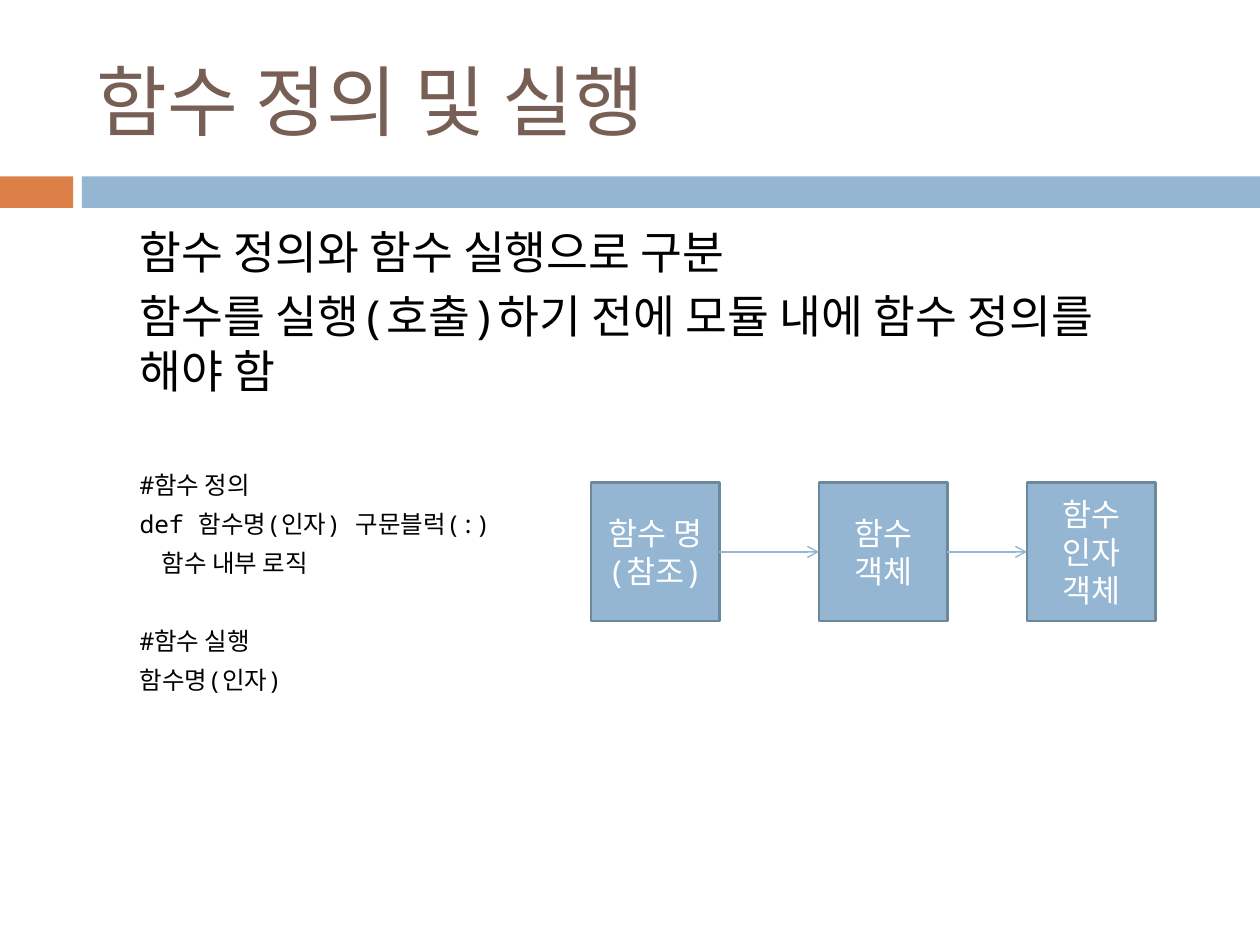
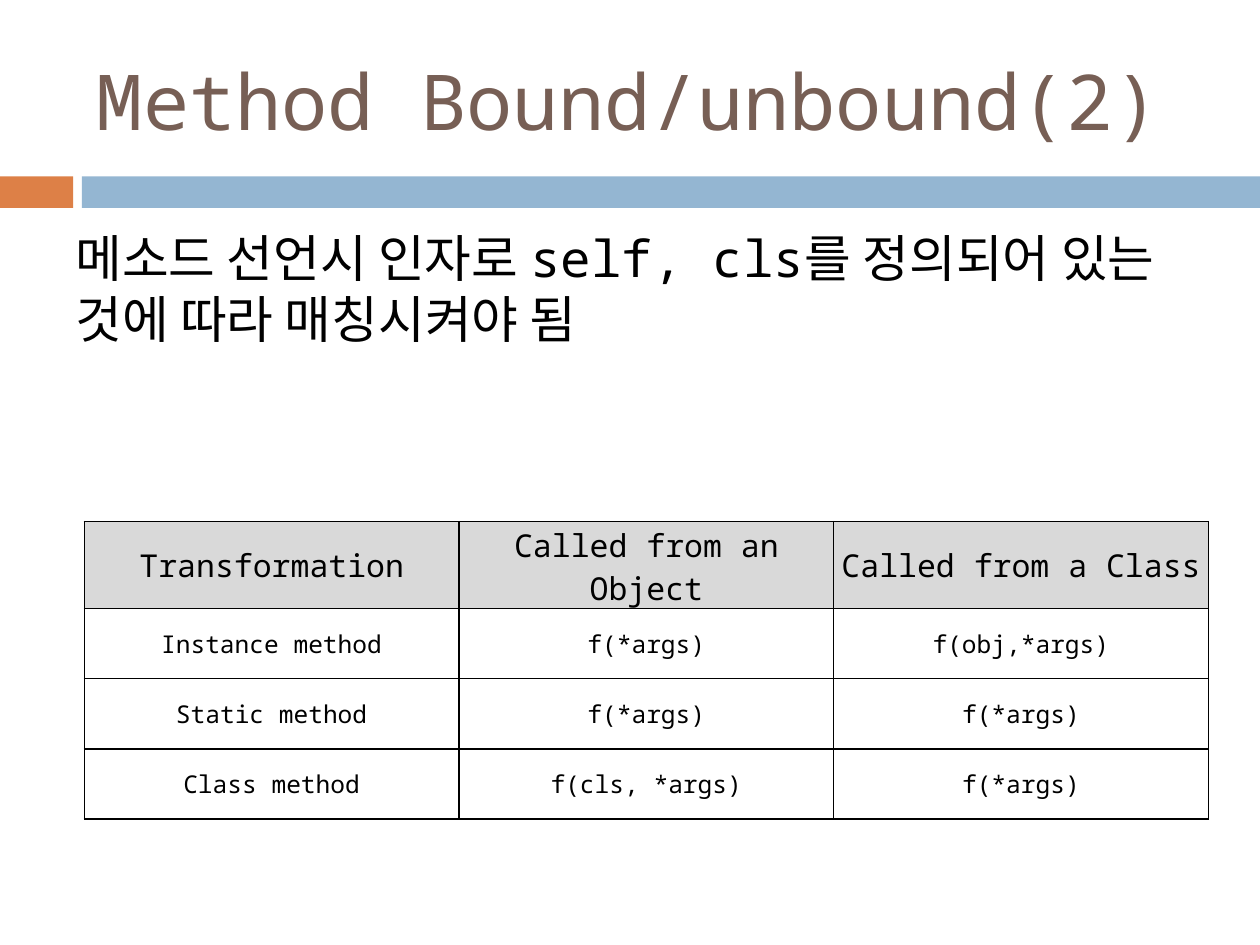
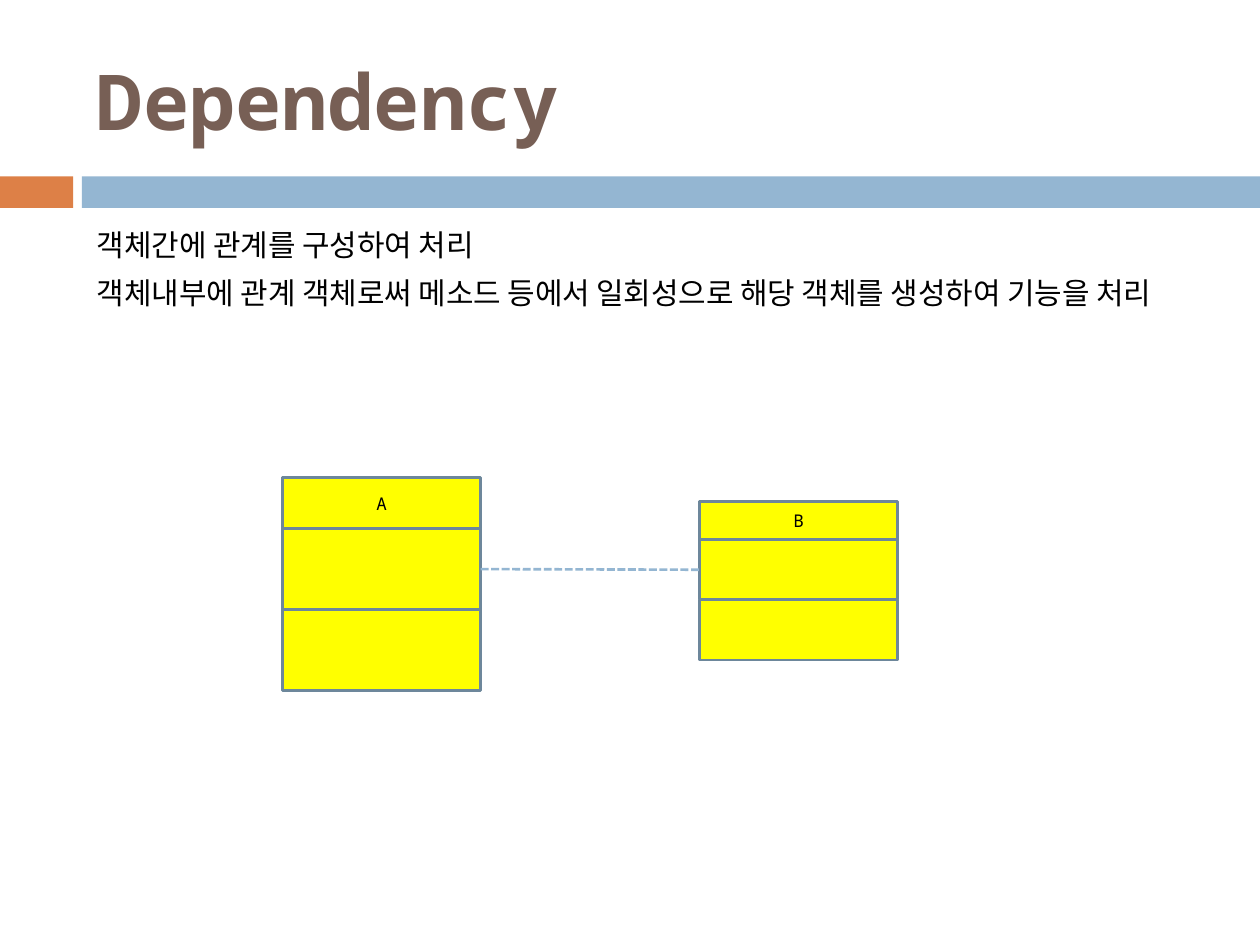
from dataclasses import dataclass
from typing import Optional, Sequence

from lxml import etree
from pptx import Presentation
from pptx import util as u
from pptx.dml.color import RGBColor
from pptx.enum import dml, shapes, text
from pptx.oxml.ns import qn

COLUMNS, ROWS = 100, 75
SLIDE_WIDTH, SLIDE_HEIGHT = u.Inches(10), u.Inches(7.5)
RIGHT_SIDE, LEFT_SIDE = 3, 1


@dataclass(frozen=True)
class Theme:
    blue: str = "94B6D2"
    outline: str = "6D879B"
    orange: str = "DD8047"
    brown: str = "775F55"
    yellow: str = "FFFF00"
    gray: str = "D9D9D9"
    black: str = "000000"
    white: str = "FFFFFF"
    mono: str = "Noto Sans Mono"
    sans: str = "Arial"
    title_size: float = 44
    statement_size: float = 29
    lead_size: float = 26
    node_size: float = 18
    summary_size: float = 17.1
    code_size: float = 14
    class_size: float = 10
    outline_width: float = 1.5
    arrow_width: float = 0.79


THEME = Theme()


@dataclass(frozen=True)
class Box:
    """An area in columns and rows of the slide grid."""
    left: float
    top: float
    width: float
    height: float

    def lengths(self) -> tuple[int, int, int, int]:
        column, row = SLIDE_WIDTH / COLUMNS, SLIDE_HEIGHT / ROWS
        return (round(self.left * column), round(self.top * row),
                round(self.width * column), round(self.height * row))


@dataclass(frozen=True)
class Style:
    size: float
    color: str = THEME.black
    name: str = THEME.mono
    bold: bool = False


@dataclass(frozen=True)
class Line:
    words: str
    style: Style
    space_before: float = 0


@dataclass(frozen=True)
class ClassDiagram:
    name: str
    box: Box


TITLE_BOX = Box(6.7, 2.5, 89.2, 10.8)
BANDS = ((Box(0, 14, 5.8, 2.5), THEME.orange), (Box(6.5, 14, 93.5, 2.5), THEME.blue))
LEAD = Style(THEME.lead_size)
CODE = Style(THEME.code_size)
NODE = Style(THEME.node_size, THEME.white)
SUMMARY = Style(THEME.summary_size, name=THEME.sans)

DEFINITION_LINES = (
    Line("함수 정의와 함수 실행으로 구분", LEAD),
    Line("함수를 실행(호출)하기 전에 모듈 내에 함수 정의를 해야 함", LEAD, 5.5),
    Line("#함수 정의", CODE, 41.5),
    Line("def 함수명(인자) 구문블럭(:)", CODE, 5.5),
    Line("    함수 내부 로직", CODE, 5.5),
    Line("#함수 실행", CODE, 27.8),
    Line("함수명(인자)", CODE, 5.5),
)
NODES = ((46.9, ("함수 명", "(참조)")), (65, ("함수 객체",)), (81.5, ("함수", "인자", "객체")))
METHOD_CALLS = (
    ("Transformation", "Called from an Object", "Called from a Class"),
    ("Instance method", "f(*args)", "f(obj,*args)"),
    ("Static method", "f(*args)", "f(*args)"),
    ("Class method", "f(cls, *args)", "f(*args)"),
)
HEADER_HEIGHT, ROW_HEIGHT = 6.9, 5.57
CLASSES = (ClassDiagram("A", Box(22.4, 37.9, 15.75, 16.9)),
           ClassDiagram("B", Box(55.5, 39.8, 15.75, 12.6)))
COMPARTMENT_SHARES = (0.24, 0.38, 0.38)


def rgb(color: str) -> RGBColor:
    return RGBColor.from_string(color)


def apply_style(paragraph, style: Style) -> None:
    font = paragraph.font
    font.name, font.size, font.bold = style.name, u.Pt(style.size), style.bold
    font.color.rgb = rgb(style.color)


def write_lines(frame, lines: Sequence[Line], alignment=text.PP_ALIGN.LEFT,
                indent: float = 0) -> None:
    frame.word_wrap = True
    for index, line in enumerate(lines):
        paragraph = frame.add_paragraph() if index else frame.paragraphs[0]
        paragraph.text = line.words
        paragraph.alignment = alignment
        if indent:
            paragraph._p.get_or_add_pPr().set("marL", str(u.Inches(indent)))
        if line.space_before:
            paragraph.space_before = u.Pt(line.space_before)
        apply_style(paragraph, line.style)


def add_text(slide, box: Box, lines: Sequence[Line], indent: float = 0,
             anchor=text.MSO_ANCHOR.TOP) -> None:
    frame = slide.shapes.add_textbox(*box.lengths()).text_frame
    frame.vertical_anchor = anchor
    write_lines(frame, lines, indent=indent)


def add_rectangle(collection, box: Box, fill: str, outline: Optional[str] = None,
                  lines: Sequence[Line] = ()):
    shape = collection.add_shape(shapes.MSO_SHAPE.RECTANGLE, *box.lengths())
    shape.shadow.inherit = False
    shape.fill.solid()
    shape.fill.fore_color.rgb = rgb(fill)
    if outline:
        shape.line.color.rgb = rgb(outline)
        shape.line.width = u.Pt(THEME.outline_width)
    else:
        shape.line.fill.background()
    if lines:
        shape.text_frame.vertical_anchor = text.MSO_ANCHOR.MIDDLE
        write_lines(shape.text_frame, lines, text.PP_ALIGN.CENTER)
    return shape


def connect(slide, source, target, width: float, dash=None, arrow: bool = False) -> None:
    """Join the right side of one shape to the left side of the next."""
    connector = slide.shapes.add_connector(shapes.MSO_CONNECTOR.STRAIGHT, 0, 0, 0, 0)
    connector.begin_connect(source, RIGHT_SIDE)
    connector.end_connect(target, LEFT_SIDE)
    connector.line.color.rgb = rgb(THEME.blue)
    connector.line.width = u.Pt(width)
    if dash:
        connector.line.dash_style = dash
    if arrow:
        etree.SubElement(connector.line._get_or_add_ln(), qn("a:tailEnd"), type="arrow")
    etree.SubElement(connector._element.spPr, qn("a:effectLst"))


def add_titled_slide(presentation, title: str, bold: bool = False):
    slide = presentation.slides.add_slide(presentation.slide_layouts[6])
    for box, color in BANDS:
        add_rectangle(slide.shapes, box, color)
    style = Style(THEME.title_size, THEME.brown, bold=bold)
    add_text(slide, TITLE_BOX, [Line(title, style)], anchor=text.MSO_ANCHOR.MIDDLE)
    return slide


def add_cell_borders(cell) -> None:
    properties = cell._tc.get_or_add_tcPr()
    for index, side in enumerate(("a:lnL", "a:lnR", "a:lnT", "a:lnB")):
        border = etree.Element(qn(side), w=str(u.Pt(1)))
        fill = etree.SubElement(border, qn("a:solidFill"))
        etree.SubElement(fill, qn("a:srgbClr"), val=THEME.black)
        properties.insert(index, border)


def fill_cell(cell, words: str, is_header: bool) -> None:
    cell.margin_left = cell.margin_right = u.Inches(0.04)
    cell.margin_top = cell.margin_bottom = u.Inches(0.02)
    cell.vertical_anchor = text.MSO_ANCHOR.MIDDLE
    if is_header:
        cell.fill.solid()
        cell.fill.fore_color.rgb = rgb(THEME.gray)
    else:
        cell.fill.background()
    add_cell_borders(cell)
    style = Style(THEME.node_size if is_header else THEME.code_size)
    write_lines(cell.text_frame, [Line(words, style)], text.PP_ALIGN.CENTER)


def add_method_table(slide, box: Box) -> None:
    frame = slide.shapes.add_table(len(METHOD_CALLS), len(METHOD_CALLS[0]), *box.lengths())
    table = frame.table
    table.first_row = table.horz_banding = False
    for row_index, row in enumerate(METHOD_CALLS):
        height = ROW_HEIGHT if row_index else HEADER_HEIGHT
        table.rows[row_index].height = round(height * SLIDE_HEIGHT / ROWS)
        for column_index, words in enumerate(row):
            fill_cell(table.cell(row_index, column_index), words, row_index == 0)


def add_class(slide, diagram: ClassDiagram):
    """Draw a three-part class and return its middle compartment."""
    group = slide.shapes.add_group_shape()
    box, top, compartments = diagram.box, diagram.box.top, []
    for index, share in enumerate(COMPARTMENT_SHARES):
        part = Box(box.left, top, box.width, box.height * share)
        lines = [] if index else [Line(diagram.name, Style(THEME.class_size))]
        compartments.append(
            add_rectangle(group.shapes, part, THEME.yellow, THEME.outline, lines))
        top += part.height
    return compartments[1]


def build_definition_slide(presentation) -> None:
    slide = add_titled_slide(presentation, "함수 정의 및 실행")
    add_text(slide, Box(5.1, 17.3, 90, 42), DEFINITION_LINES, indent=0.5)
    nodes = [add_rectangle(slide.shapes, Box(left, 38.3, 10.2, 11), THEME.blue,
                           THEME.outline, [Line(words, NODE) for words in label])
             for left, label in NODES]
    for source, target in zip(nodes, nodes[1:]):
        connect(slide, source, target, THEME.arrow_width, arrow=True)


def build_method_slide(presentation) -> None:
    slide = add_titled_slide(presentation, "Method Bound/unbound(2)")
    statement = "메소드 선언시 인자로 self, cls를 정의되어 있는 것에 따라 매칭시켜야 됨"
    add_text(slide, Box(5, 17.5, 90, 20), [Line(statement, Style(THEME.statement_size))])
    add_method_table(slide, Box(6.7, 41.4, 89.2, 23.6))


def build_dependency_slide(presentation) -> None:
    slide = add_titled_slide(presentation, "Dependency", bold=True)
    add_text(slide, Box(6.7, 17.5, 89.2, 10.6), [
        Line("객체간에 관계를 구성하여 처리", SUMMARY),
        Line("객체내부에 관계 객체로써 메소드 등에서 일회성으로 해당 객체를 생성하여 기능을 처리",
             SUMMARY, 7),
    ])
    source, target = [add_class(slide, diagram) for diagram in CLASSES]
    connect(slide, source, target, THEME.outline_width, dash=dml.MSO_LINE.SQUARE_DOT)


def main() -> None:
    presentation = Presentation()
    presentation.slide_width, presentation.slide_height = SLIDE_WIDTH, SLIDE_HEIGHT
    build_definition_slide(presentation)
    build_method_slide(presentation)
    build_dependency_slide(presentation)
    presentation.save("out.pptx")


if __name__ == "__main__":
    main()
